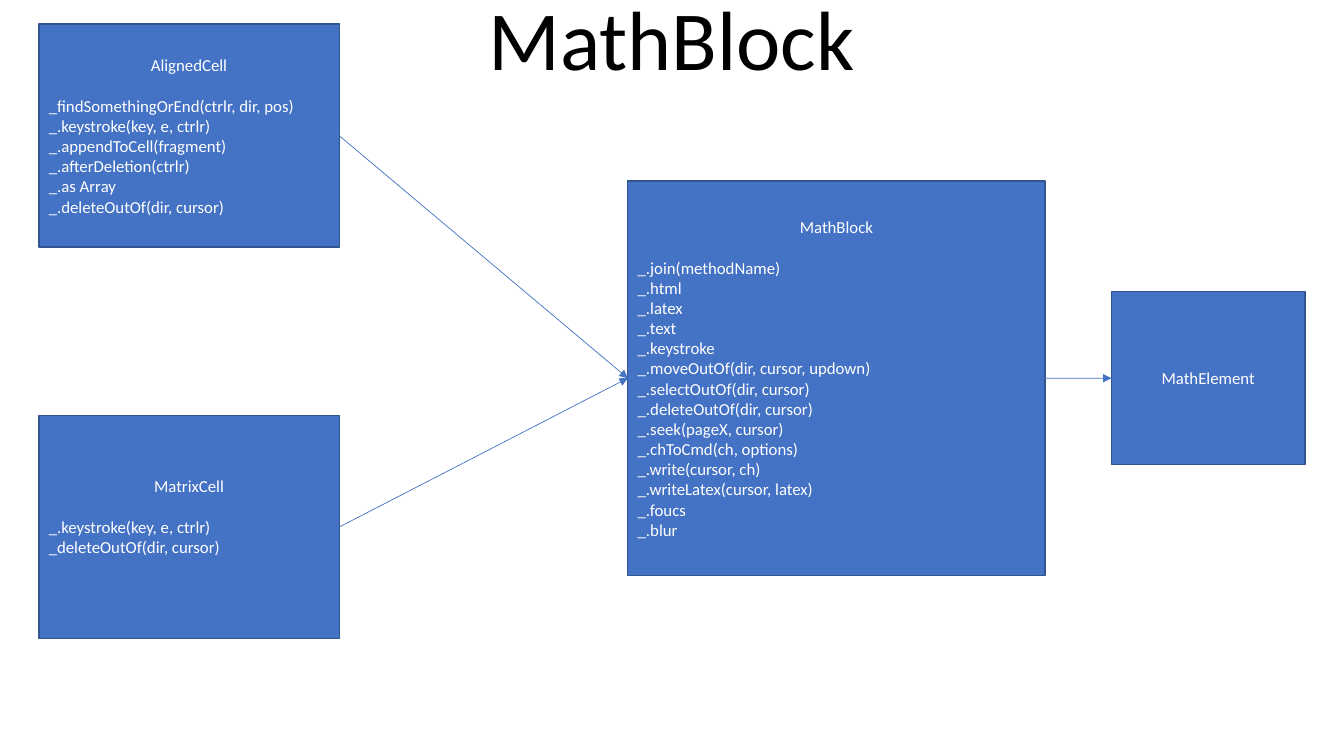
from pptx import Presentation
from pptx.dml.color import RGBColor
from pptx.enum.shapes import MSO_CONNECTOR as CONN, MSO_SHAPE as SHAPE
from pptx.enum.text import MSO_ANCHOR as ANCHOR, MSO_AUTO_SIZE as AUTO, PP_ALIGN as ALIGN
from pptx.oxml.ns import qn
from pptx.util import Cm, Pt
from lxml.etree import SubElement

FONT = "Calibri"
BLUE, EDGE, WHITE, BLACK = "4472C4", "325491", "FFFFFF", "000000"
LINE_GAP = Pt(14.65)  # height of one 12 pt line
RIGHT, LEFT = 3, 1    # connection sites

CELL_X, CELL_W, CELL_H = 0.98, 7.57, 5.62
ALIGNED = ["_findSomethingOrEnd(ctrlr, dir, pos)", "_.keystroke(key, e, ctrlr)",
           "_.appendToCell(fragment)", "_.afterDeletion(ctrlr)", "_.as Array",
           "_.deleteOutOf(dir, cursor)"]
MATRIX = ["_.keystroke(key, e, ctrlr)", "_deleteOutOf(dir, cursor)"]
BLOCK = ["_.join(methodName)", "_.html", "_.latex", "_.text", "_.keystroke",
         "_.moveOutOf(dir, cursor, updown)", "_.selectOutOf(dir, cursor)",
         "_.deleteOutOf(dir, cursor)", "_.seek(pageX, cursor)",
         "_.chToCmd(ch, options)", "_.write(cursor, ch)",
         "_.writeLatex(cursor, latex)", "_.foucs", "_.blur"]


def rgb(color):
    return RGBColor.from_string(color)


def style(p, size, color, align):
    p.alignment = align
    for r in p.runs:
        r.font.name, r.font.size = FONT, Pt(size)
        r.font.color.rgb = rgb(color)


def add_title(s, text, box):
    title = s.shapes.title
    title.left, title.top, title.width, title.height = map(Cm, box)
    tf = title.text_frame
    tf.text = text
    tf.word_wrap, tf.auto_size = True, AUTO.NONE
    tf.vertical_anchor, tf.margin_top = ANCHOR.BOTTOM, 0
    tf.paragraphs[0].line_spacing = 0.9
    style(tf.paragraphs[0], 60, BLACK, ALIGN.CENTER)
    s.shapes._spTree.append(title._element)  # bring to front


def add_class(s, name, methods, box):
    """Class box: centred name, then its methods one line below."""
    sp = s.shapes.add_shape(SHAPE.RECTANGLE, *map(Cm, box))
    sp.shadow.inherit = False
    sp.fill.solid()
    sp.fill.fore_color.rgb = rgb(BLUE)
    sp.line.color.rgb = rgb(EDGE)
    sp.line.width = Pt(1)
    tf = sp.text_frame
    tf.word_wrap, tf.vertical_anchor = True, ANCHOR.MIDDLE
    tf.text = "\n".join([name] + methods)
    head, *rest = tf.paragraphs
    style(head, 12, WHITE, ALIGN.CENTER)
    if rest:
        head.space_after = LINE_GAP
    for p in rest:
        style(p, 12, WHITE, ALIGN.LEFT)
    return sp


def add_arrow(s, child, parent):
    """Inheritance arrow from the child's right side to the parent's left."""
    cxn = s.shapes.add_connector(CONN.STRAIGHT, 0, 0, 0, 0)
    cxn.begin_connect(child, RIGHT)
    cxn.end_connect(parent, LEFT)
    cxn.line.color.rgb = rgb(BLUE)
    cxn.line.width = Pt(0.5)
    SubElement(cxn.line._get_or_add_ln(), qn("a:tailEnd"), type="triangle")
    SubElement(cxn._element.spPr, qn("a:effectLst"))


def build_class_slide(prs):
    s = prs.slides.add_slide(prs.slide_layouts[5])

    # Classes
    block = add_class(s, "MathBlock", BLOCK, (15.82, 4.56, 10.52, 9.94))
    aligned = add_class(s, "AlignedCell", ALIGNED, (CELL_X, 0.61, CELL_W, CELL_H))
    matrix = add_class(s, "MatrixCell", MATRIX, (CELL_X, 10.47, CELL_W, CELL_H))
    matrix.text_frame.margin_bottom += LINE_GAP  # text sits above the middle
    element = add_class(s, "MathElement", [], (28.01, 7.35, 4.88, 4.36))

    # Inheritance
    for child, parent in ((aligned, block), (matrix, block), (block, element)):
        add_arrow(s, child, parent)

    # Title
    add_title(s, "MathBlock", (2.32, 0, 29.21, 2.35))


def main():
    prs = Presentation()
    prs.slide_width, prs.slide_height = Cm(33.87), Cm(19.05)
    build_class_slide(prs)
    prs.save("out.pptx")


if __name__ == "__main__":
    main()
